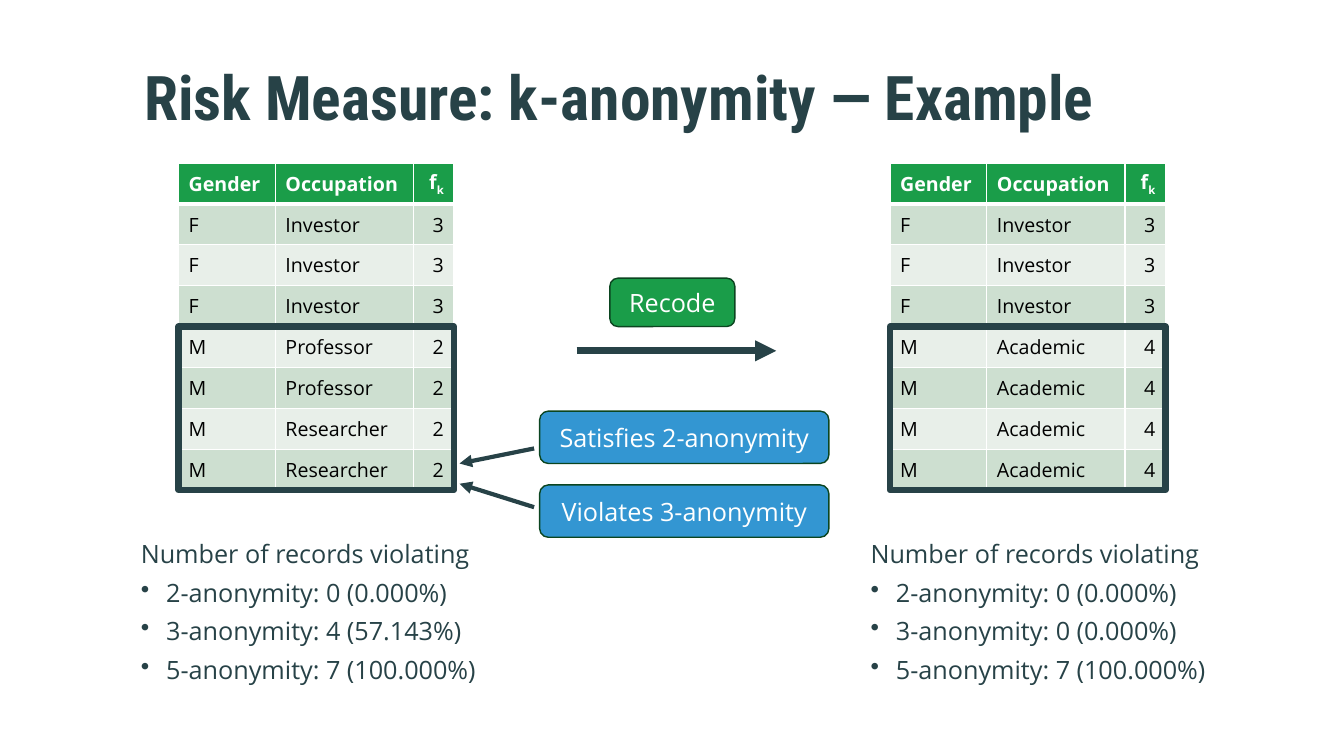
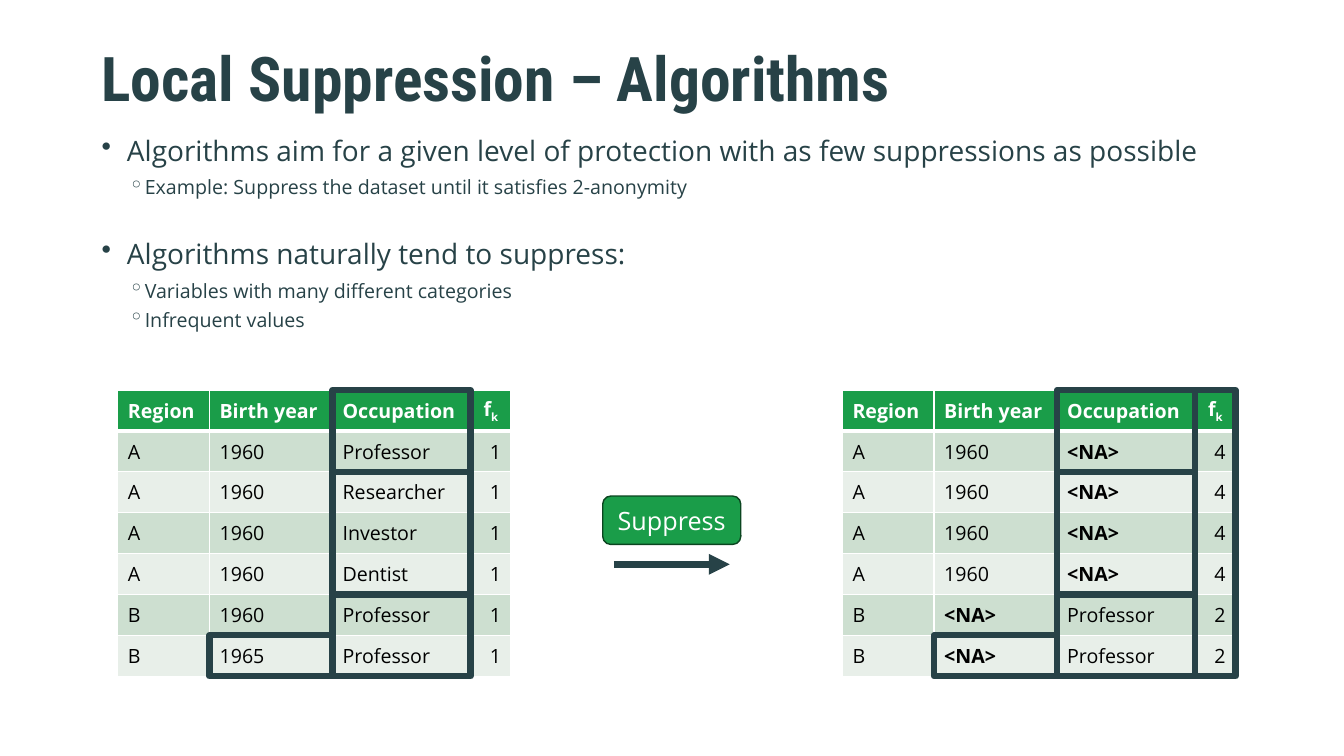
from dataclasses import dataclass

from lxml.etree import SubElement
from pptx import Presentation
from pptx.dml.color import RGBColor as RGB
from pptx.enum.shapes import MSO_CONNECTOR as LINK, MSO_SHAPE as SHAPE
from pptx.enum.text import MSO_ANCHOR as ANCHOR, PP_ALIGN as ALIGN
from pptx.oxml.ns import qn
from pptx.util import Cm, Pt


@dataclass(frozen=True)
class Theme:
    ink: str = "274247"
    green: str = "1A9D49"
    blue: str = "3396D2"
    edge: str = "0B4520"
    white: str = "FFFFFF"
    black: str = "000000"
    bands: tuple = ("CDDFD0", "E8EFE9")
    head: str = "Roboto Condensed"
    body: str = "Open Sans"
    title: float = 44
    lead: float = 20
    text: float = 18
    small: float = 14
    frame: float = 4.5


T = Theme()
ROW = 1.03  # table row height, cm
LABEL = 1.22  # height of a step label, cm
# Bullet sign, left margin and hanging indent (cm), space after (pt)
PLAIN = ("", 0, 0, 6)
POINT = ("•", 0.64, 0.64, 6)
SUB = ("◦", 1.09, 0.41, 4)


def style(para, size, color=T.ink, bold=False, face=T.body):
    font = para.font
    font.name, font.size, font.bold = face, Pt(size), bold
    font.color.rgb = RGB.from_string(color)


def paint(part, color):
    part.solid()
    part.fore_color.rgb = RGB.from_string(color)


def text_box(slide, box):
    frame = slide.shapes.add_textbox(*map(Cm, box)).text_frame
    frame.word_wrap = True
    return frame


def title(slide, text, box):
    frame = text_box(slide, box)
    frame.vertical_anchor = ANCHOR.MIDDLE
    frame.margin_top = 0
    para = frame.paragraphs[0]
    para.text = text
    para.line_spacing = 0.9
    style(para, T.title, bold=True, face=T.head)


def outline(slide, box, items):
    """Place a list of (kind, size, text, space before) items."""
    frame = text_box(slide, box)
    for i, (kind, size, text, before) in enumerate(items):
        para = frame.add_paragraph() if i else frame.paragraphs[0]
        para.text = text
        sign, left, hang, after = kind
        if sign:
            props = para._p.get_or_add_pPr()
            props.set("marL", str(Cm(left)))
            props.set("indent", str(-Cm(hang)))
            SubElement(props, qn("a:buChar")).set("char", sign)
        style(para, size)
        para.space_after = Pt(after)
        if before:
            para.space_before = Pt(before)


def shape(slide, kind, box, line, width):
    item = slide.shapes.add_shape(kind, *map(Cm, box))
    item.shadow.inherit = False
    paint(item.line.fill, line)
    item.line.width = Pt(width)
    return item


def label(slide, text, box, color):
    item = shape(slide, SHAPE.ROUNDED_RECTANGLE, box, T.edge, 1)
    paint(item.fill, color)
    frame = item.text_frame
    frame.word_wrap = False
    frame.vertical_anchor = ANCHOR.MIDDLE
    para = frame.paragraphs[0]
    para.text = text
    para.alignment = ALIGN.CENTER
    style(para, T.text, T.white)


def arrow(slide, start, end, width):
    link = slide.shapes.add_connector(LINK.STRAIGHT, *map(Cm, start + end))
    paint(link.line.fill, T.ink)
    link.line.width = Pt(width)
    SubElement(link.line._get_or_add_ln(), qn("a:tailEnd")).set("type", "triangle")
    SubElement(link._element.spPr, qn("a:effectLst"))


def step(slide, text, x, y, width, shift, drop, length):
    """Label with an arrow below it, shifted and dropped from the label."""
    label(slide, text, (x, y, width, LABEL), T.green)
    left, level = x + shift, y + LABEL + drop
    arrow(slide, (left, level), (left + length, level), 5)


def rule(cell, row):
    """White cell borders, thick between the head and the body."""
    props = cell._tc.get_or_add_tcPr()
    for side in "LRTB":
        thick = (row, side) in ((0, "B"), (1, "T"))
        line = SubElement(props, qn(f"a:ln{side}"), w=str(Pt(3 if thick else 1)))
        fill = SubElement(line, qn("a:solidFill"))
        SubElement(fill, qn("a:srgbClr"), val=T.white)


def fill_cell(cell, text, row, align):
    rule(cell, row)
    paint(cell.fill, T.bands[(row - 1) % 2] if row else T.green)
    cell.vertical_anchor = ANCHOR.MIDDLE
    para = cell.text_frame.paragraphs[0]
    base, _, low = text.partition("_")
    para.add_run().text = base
    if low:
        run = para.add_run()
        run.text = low
        run._r.get_or_add_rPr().set("baseline", "-25000")
    para.alignment = align
    style(para, T.small, T.black if row else T.white, not row or text == "<NA>")


def grid(slide, x, y, cols, rows, marks, last=ALIGN.RIGHT):
    """Table with frames; a mark is (first col, end col, first row, end row)."""
    box = (x, y, sum(cols), ROW * len(rows))
    table = slide.shapes.add_table(len(rows), len(cols), *map(Cm, box)).table
    table.first_row = table.horz_banding = False
    for col, width in zip(table.columns, cols):
        col.width = Cm(width)
    for r, texts in enumerate(rows):
        table.rows[r].height = Cm(ROW)
        for c, text in enumerate(texts):
            align = ALIGN.LEFT
            if c == len(cols) - 1:
                align = ALIGN.RIGHT if r else last
            fill_cell(table.cell(r, c), text, r, align)
    for left, right, top, end in marks:
        area = (x + sum(cols[:left]), y + ROW * top,
                sum(cols[left:right]), ROW * (end - top))
        shape(slide, SHAPE.RECTANGLE, area, T.ink, T.frame).fill.background()


def recode(slide):
    title(slide, "Risk Measure: k-anonymity — Example", (3.38, 1.52, 26.82, 2.16))
    head = ("Gender", "Occupation", "f_k")
    cases = (
        (4.5, 3.3, ["Professor"] * 2 + ["Researcher"] * 2, "2", "4 (57.143%)"),
        (22.43, 21.69, ["Academic"] * 4, "4", "0 (0.000%)"),
    )
    for x, left, jobs, count, third in cases:
        rows = [head] + [("F", "Investor", "3")] * 3
        rows += [("M", job, count) for job in jobs]
        grid(slide, x, 4.11, (2.44, 3.48, 1.02), rows, [(0, 3, 4, 8)])
        tally = (("2", "0 (0.000%)"), ("3", third), ("5", "7 (100.000%)"))
        items = [(PLAIN, T.text, "Number of records violating", 0)]
        items += [(POINT, T.text, f"{k}-anonymity: {n}", 0) for k, n in tally]
        outline(slide, (left, 13.44, 10.46, 5.2), items)
    step(slide, "Recode", 15.37, 7.01, 3.15, -0.84, 0.61, 5.03)
    notes = (("Satisfies 2-anonymity", 10.36, 11.3, 11.68),
             ("Violates 3-anonymity", 12.22, 12.78, 12.19))
    for text, y, start, end in notes:
        label(slide, text, (13.6, y, 7.29, 1.32), T.blue)
        arrow(slide, (13.46, start), (11.58, end), 3)


def suppress(slide):
    title(slide, "Local Suppression – Algorithms", (2.31, 1.04, 27.58, 2.18))
    outline(slide, (2.31, 3.23, 31.5, 6), [
        (POINT, T.lead, "Algorithms aim for a given level of protection "
                        "with as few suppressions as possible", 0),
        (SUB, T.small, "Example: Suppress the dataset until it satisfies 2-anonymity", 0),
        (POINT, T.lead, "Algorithms naturally tend to suppress:", 23),
        (SUB, T.small, "Variables with many different categories", 0),
        (SUB, T.small, "Infrequent values", 0),
    ])
    head = ("Region", "Birth year", "Occupation", "f_k")
    marks = [(2, 3, 0, 7), (2, 3, 2, 5), (1, 2, 6, 7)]
    jobs = ("Professor", "Researcher", "Investor", "Dentist")
    before = [("A", "1960", job, "1") for job in jobs]
    before += [("B", year, "Professor", "1") for year in ("1960", "1965")]
    after = [("A", "1960", "<NA>", "4")] * 4 + [("B", "<NA>", "Professor", "2")] * 2
    cases = ((2.97, before, marks), (21.23, after, marks + [(3, 4, 0, 7)]))
    for x, rows, frames in cases:
        grid(slide, x, 9.83, (2.31, 3.1, 3.48, 1.02), [head] + rows, frames, ALIGN.CENTER)
    step(slide, "Suppress", 15.19, 12.5, 3.48, 0.28, 0.5, 2.92)


def main():
    deck = Presentation()
    deck.slide_width, deck.slide_height = Cm(33.87), Cm(19.05)
    for build in (recode, suppress):
        build(deck.slides.add_slide(deck.slide_layouts[6]))
    deck.save("out.pptx")


if __name__ == "__main__":
    main()
